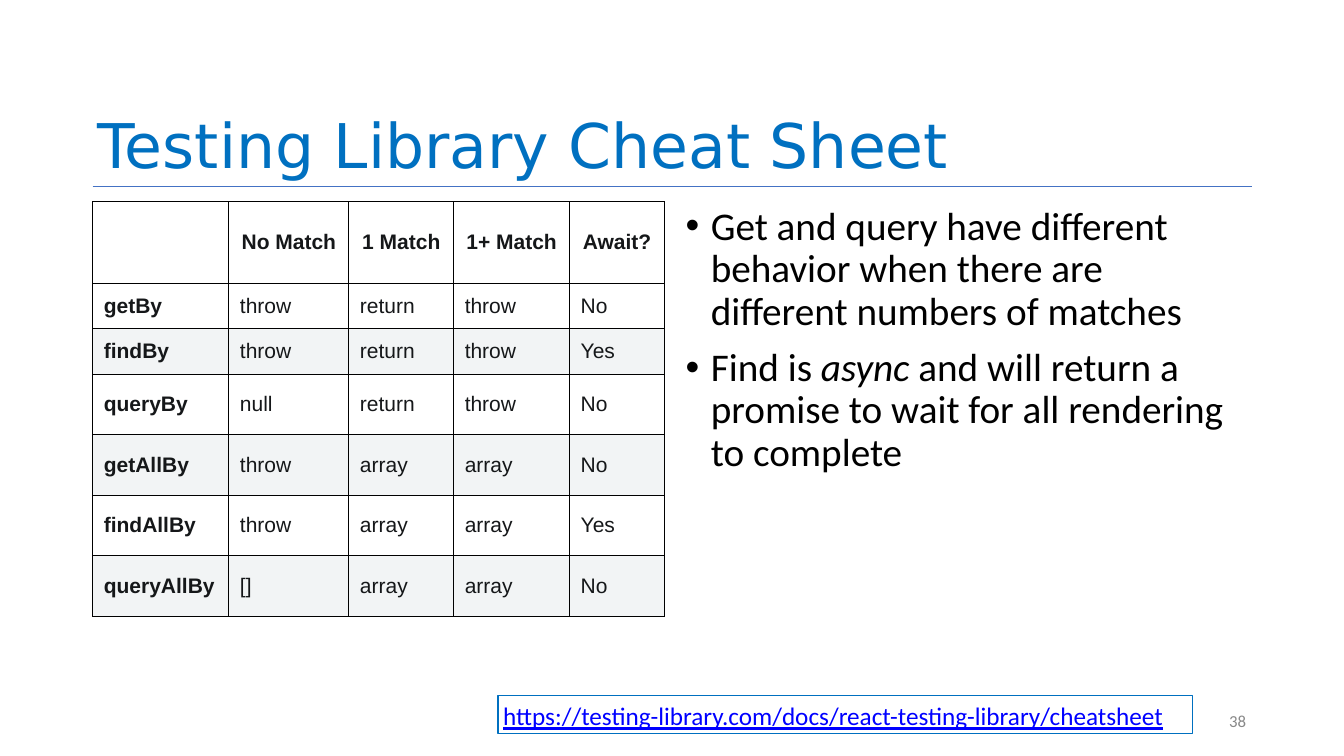
from typing import NamedTuple

from lxml.etree import SubElement
from pptx import Presentation
from pptx.dml.color import RGBColor
from pptx.enum.shapes import MSO_CONNECTOR, MSO_SHAPE
from pptx.enum.text import MSO_ANCHOR, MSO_AUTO_SIZE, PP_ALIGN
from pptx.oxml.ns import qn
from pptx.util import Inches, Pt


class Style(NamedTuple):
    size: float
    face: str
    color: str
    bold: bool = False
    italic: bool = False
    under: bool = False


class Query(NamedTuple):
    name: str
    none: str
    one: str
    many: str
    wait: str
    height: float


TITLE = Style(44, "DejaVu Sans", "0070C0")
BODY = Style(28, "Calibri", "000000")
CELL = Style(15, "Arial", "151719")
HEAD = CELL._replace(bold=True)
LINK = Style(18, "Calibri", "0000FF", under=True)
NUMBER = Style(12, "Calibri", "888888")

LEFT, TOP, HALF = 0.92, 2, 5.67
WIDTHS = [1.35, 1.19, 1.04, 1.15, 0.94]
QUERIES = [
    Query("", "No Match", "1 Match", "1+ Match", "Await?", 0.81),
    Query("getBy", "throw", "return", "throw", "No", 0.39),
    Query("findBy", "throw", "return", "throw", "Yes", 0.39),
    Query("queryBy", "null", "return", "throw", "No", 0.6),
    Query("getAllBy", "throw", "array", "array", "No", 0.6),
    Query("findAllBy", "throw", "array", "array", "Yes", 0.6),
    Query("queryAllBy", "[]", "array", "array", "No", 0.6),
]
POINTS = [
    [("Get and query have different behavior when there are "
      "different numbers of matches", BODY)],
    [("Find is ", BODY), ("async", BODY._replace(italic=True)),
     (" and will return a promise to wait for all rendering to complete", BODY)],
]


def paint(fmt, color: str) -> None:
    """Set a color format from a hex string."""
    fmt.rgb = RGBColor.from_string(color)


def box(*sides: float) -> list:
    return [Inches(side) for side in sides]


def add_run(para, text: str, style: Style) -> None:
    run = para.add_run()
    run.text = text
    font = run.font
    font.size, font.name = Pt(style.size), style.face
    font.bold, font.italic, font.underline = style.bold, style.italic, style.under
    paint(font.color, style.color)


def set_frame(frame, anchor, wrap: bool = True) -> None:
    frame.word_wrap = wrap
    frame.auto_size = MSO_AUTO_SIZE.NONE
    frame.vertical_anchor = anchor
    frame.margin_left = frame.margin_right = Inches(0.05)
    frame.margin_top = frame.margin_bottom = Inches(0.05)


def place(shape, *sides: float) -> None:
    shape.left, shape.top, shape.width, shape.height = box(*sides)


def add_bullet(para) -> None:
    props = para._p.get_or_add_pPr()
    props.set("marL", str(Inches(0.25)))
    props.set("indent", str(-Inches(0.25)))
    SubElement(props, qn("a:buFont"), typeface="Arial")
    SubElement(props, qn("a:buChar"), char="•")


def add_border(cell) -> None:
    props = cell._tc.get_or_add_tcPr()
    for side in ("lnL", "lnR", "lnT", "lnB"):
        line = SubElement(props, qn(f"a:{side}"), w=str(Pt(0.75)))
        fill = SubElement(line, qn("a:solidFill"))
        SubElement(fill, qn("a:srgbClr"), val="000000")


def fill_cell(cell, text: str, row: int, col: int) -> None:
    add_border(cell)
    if row and row % 2 == 0:
        cell.fill.solid()
        paint(cell.fill.fore_color, "F2F4F5")
    else:
        cell.fill.background()
    cell.vertical_anchor = MSO_ANCHOR.MIDDLE
    cell.margin_left = cell.margin_right = Inches(0.11)
    cell.margin_top = cell.margin_bottom = Inches(0.11)
    if text:
        para = cell.text_frame.paragraphs[0]
        para.alignment = PP_ALIGN.LEFT if row else PP_ALIGN.CENTER
        add_run(para, text, CELL if row and col else HEAD)


def add_grid(slide) -> None:
    height = sum(query.height for query in QUERIES)
    table = slide.shapes.add_table(
        len(QUERIES), len(WIDTHS), *box(LEFT, TOP, HALF, height)).table
    table.first_row = table.horz_banding = False
    for col, width in enumerate(WIDTHS):
        table.columns[col].width = Inches(width)
    for row, query in enumerate(QUERIES):
        table.rows[row].height = Inches(query.height)
        for col, text in enumerate(query[:-1]):
            fill_cell(table.cell(row, col), text, row, col)


def add_title(slide) -> None:
    title = slide.shapes.title
    place(title, LEFT, 0.4, 11.5, 1.45)
    set_frame(title.text_frame, MSO_ANCHOR.BOTTOM)
    para = title.text_frame.paragraphs[0]
    para.alignment, para.line_spacing = PP_ALIGN.LEFT, 0.9
    add_run(para, "Testing Library Cheat Sheet", TITLE)

    rule = slide.shapes.add_connector(
        MSO_CONNECTOR.STRAIGHT, *box(LEFT, 1.85, 12.42, 1.85))
    rule.line.width = Pt(0.5)
    paint(rule.line.color, "4472C4")
    SubElement(rule._element.spPr, qn("a:effectLst"))


def add_points(slide) -> None:
    body = slide.placeholders[1]
    place(body, 6.75, TOP, HALF, 4.76)
    frame = body.text_frame
    set_frame(frame, MSO_ANCHOR.TOP)
    for index, runs in enumerate(POINTS):
        para = frame.add_paragraph() if index else frame.paragraphs[0]
        add_bullet(para)
        para.line_spacing = 0.9
        para.space_before = Pt(10 if index else 0)
        for text, style in runs:
            add_run(para, text, style)


def add_foot(slide) -> None:
    link = slide.shapes.add_shape(MSO_SHAPE.RECTANGLE, *box(4.94, 6.9, 6.89, 0.38))
    link.shadow.inherit = False
    link.fill.background()
    link.line.width = Pt(1)
    paint(link.line.color, "0070C0")
    set_frame(link.text_frame, MSO_ANCHOR.TOP)
    para = link.text_frame.paragraphs[0]
    para.alignment = PP_ALIGN.LEFT
    add_run(para, "https://testing-library.com/docs/react-testing-library/cheatsheet", LINK)

    number = slide.shapes.add_textbox(*box(12.13, 7.02, 0.28, 0.27))
    set_frame(number.text_frame, MSO_ANCHOR.MIDDLE, wrap=False)
    para = number.text_frame.paragraphs[0]
    para.alignment = PP_ALIGN.RIGHT
    add_run(para, "38", NUMBER)


def main() -> None:
    deck = Presentation()
    deck.slide_width, deck.slide_height = box(13.33, 7.5)
    slide = deck.slides.add_slide(deck.slide_layouts[1])
    add_title(slide)
    add_grid(slide)
    add_points(slide)
    add_foot(slide)
    deck.save("out.pptx")


if __name__ == "__main__":
    main()
